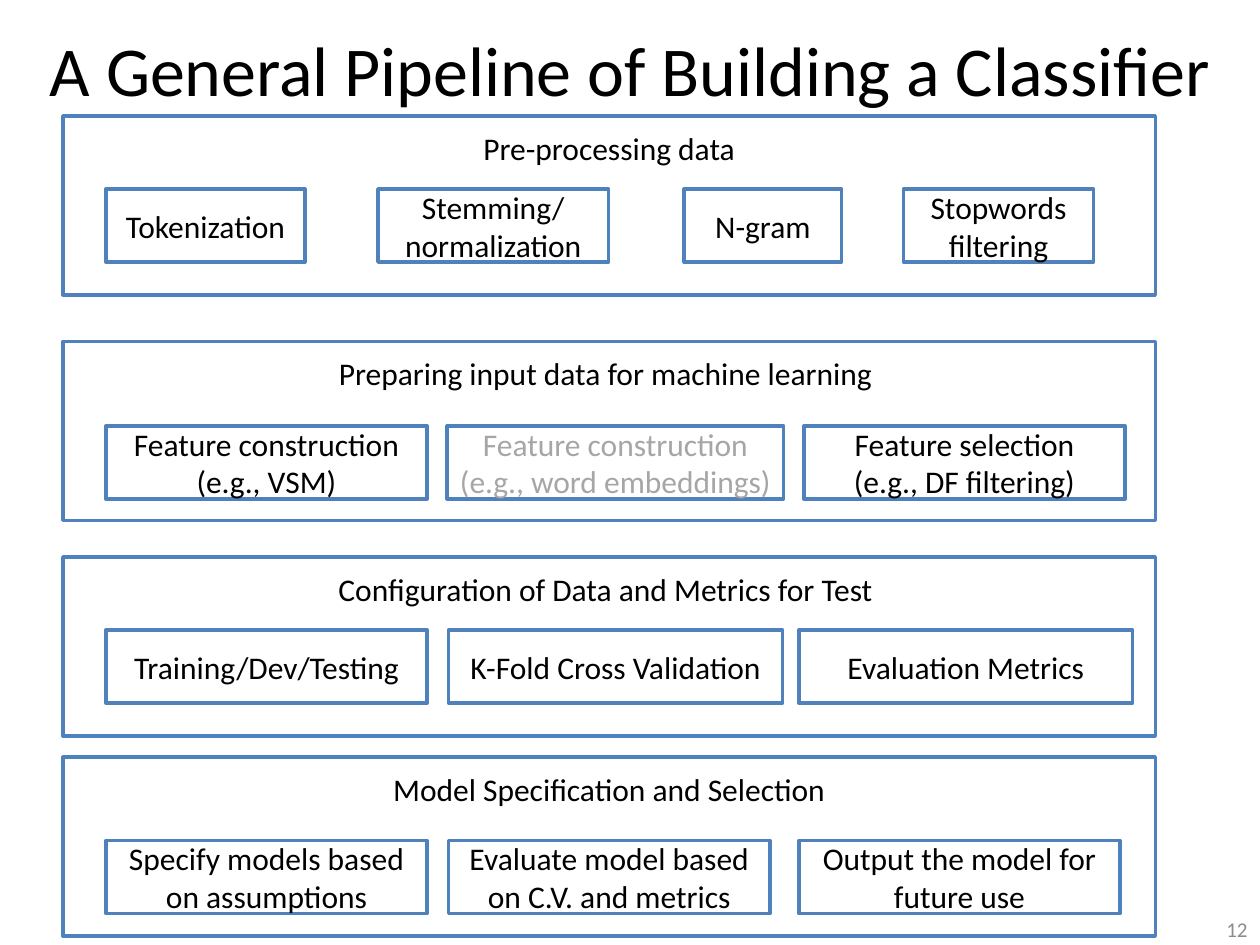
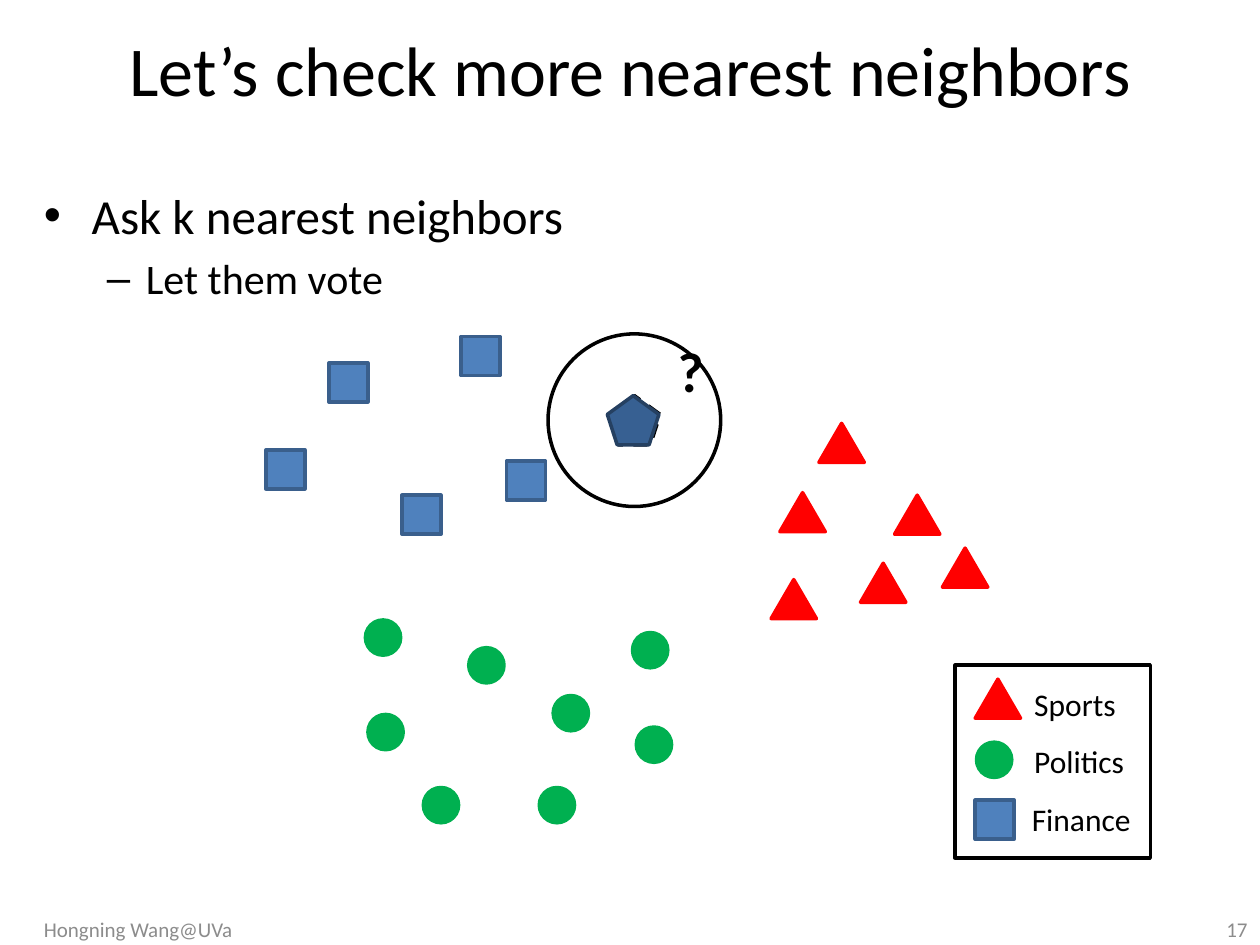
"""Build two slides on text classification: a pipeline and a nearest-neighbour vote."""
from lxml import etree
from pptx import Presentation, util as u
from pptx.dml.color import RGBColor
from pptx.enum import dml, shapes, text
from pptx.oxml.ns import qn

COLORS = {
    "ink": "000000", "paper": "FFFFFF", "muted": "A6A6A6", "footer": "8C8C8C",
    "blue": "4F81BD", "blue_edge": "3A5F8C", "red": "FF0000", "green": "00B050",
    "query": "376092", "query_edge": "254061",
}
FONT = "Calibri"
COLUMNS, ROWS = 100, 75
SHAPE, ALIGN, ANCHOR = shapes.MSO_SHAPE, text.PP_ALIGN, text.MSO_ANCHOR

MARKERS = {
    "Finance": (SHAPE.RECTANGLE, 3.1, 3.1, "blue", "blue_edge"),
    "Sports": (SHAPE.ISOSCELES_TRIANGLE, 3.6, 3.1, "red", "red"),
    "Politics": (SHAPE.OVAL, 2.8, 2.8, "green", "green"),
}
POINTS = {
    "Finance": [(26.1, 28.8), (21.1, 35.7), (31.9, 39.3), (36.6, 26.7), (40.2, 36.6)],
    "Sports": [(65, 33.6), (61.9, 39.1), (61.2, 46), (74.8, 43.5), (71, 39.3), (68.3, 44.7)],
    "Politics": [(29, 49.2), (37.2, 51.4), (43.9, 55.2), (42.8, 62.5), (33.6, 62.5),
                 (29.2, 56.7), (50.2, 50.2), (50.5, 57.7)],
}
LEGEND = [
    ("Sports", (77.4, 53.9), (81.1, 53.9)),
    ("Politics", (77.5, 58.9), (81.1, 58.4)),
    ("Finance", (77.4, 63.5), (80.9, 63)),
]
PANELS = [
    ("Pre-processing data", 9.2, 15, [
        (8.4, 15.8, ["Tokenization"], "ink"),
        (30, 18.3, ["Stemming/", "normalization"], "ink"),
        (54.3, 12.5, ["N-gram"], "ink"),
        (71.7, 15.1, ["Stopwords filtering"], "ink")]),
    ("Preparing input data for machine learning ", 27.1, 33.8, [
        (8.4, 25.5, ["Feature construction (e.g., VSM)"], "ink"),
        (35.5, 26.7, ["Feature construction (e.g., word embeddings)"], "muted"),
        (63.8, 25.5, ["Feature selection", "(e.g., DF filtering)"], "ink")]),
    ("Configuration of Data and Metrics for Test ", 44.2, 50, [
        (8.4, 25.5, ["Training/Dev/Testing"], "ink"),
        (35.6, 26.5, ["K-Fold Cross Validation"], "ink"),
        (63.4, 26.5, ["Evaluation Metrics"], "ink")]),
    ("Model Specification and Selection", 60.1, 66.7, [
        (8.4, 25.5, ["Specify models based on assumptions"], "ink"),
        (35.6, 25.5, ["Evaluate model based on C.V. and metrics"], "ink"),
        (63.4, 25.5, ["Output the model for future use"], "ink")]),
]


def write_text(frame, lines, size=18, color="ink", bold=False,
               align=ALIGN.LEFT, anchor=ANCHOR.TOP):
    """Fill a text frame with one paragraph per line."""
    frame.word_wrap = True
    frame.vertical_anchor = anchor
    for index, line in enumerate(lines):
        paragraph = frame.add_paragraph() if index else frame.paragraphs[0]
        paragraph.alignment = align
        run = paragraph.add_run()
        run.text = line
        run.font.name, run.font.size, run.font.bold = FONT, u.Pt(size), bold
        run.font.color.rgb = RGBColor.from_string(COLORS[color])


class Deck:
    """Hold the shared style and the slide being drawn."""

    def __init__(self):
        """Start an empty 4:3 presentation."""
        self.presentation = Presentation()
        self.presentation.slide_width = u.Inches(10)
        self.presentation.slide_height = u.Inches(7.5)
        self.container = None

    def place(self, left, top, width, height):
        """Turn grid columns and rows into lengths."""
        column = self.presentation.slide_width / COLUMNS
        row = self.presentation.slide_height / ROWS
        return [u.Emu(round(length)) for length in
                (left * column, top * row, width * column, height * row)]

    def add_slide(self, title, number, footer=None):
        """Open a slide with its title, page number and optional footer."""
        slide = self.presentation.slides.add_slide(self.presentation.slide_layouts[6])
        self.container = slide.shapes
        self.add_text(0, 0, 100, 10.8, [title], size=40, align=ALIGN.CENTER, anchor=ANCHOR.MIDDLE)
        small = dict(size=12, color="footer", anchor=ANCHOR.MIDDLE)
        self.add_text(76.7, 72.5, 23.3, 2.5, [str(number)], align=ALIGN.RIGHT, **small)
        if footer:
            self.add_text(2.5, 72.5, 23.3, 2.5, [footer], **small)

    def add_text(self, left, top, width, height, lines, **style):
        """Add a text box and return its frame."""
        frame = self.container.add_textbox(*self.place(left, top, width, height)).text_frame
        write_text(frame, lines, **style)
        return frame

    def add_bullets(self, left, top, width, height, items):
        """Add a list of (text, size, bullet, margin, hanging, space before) items."""
        frame = self.add_text(left, top, width, height, [item[0] for item in items])
        for paragraph, (_, size, bullet, margin, hanging, before) in zip(frame.paragraphs, items):
            paragraph.runs[0].font.size = u.Pt(size)
            paragraph.space_before = u.Pt(before)
            properties = paragraph._p.get_or_add_pPr()
            properties.set("marL", str(u.Inches(margin)))
            properties.set("indent", str(-u.Inches(hanging)))
            etree.SubElement(properties, qn("a:buFont")).set("typeface", "Arial")
            etree.SubElement(properties, qn("a:buChar")).set("char", bullet)

    def add_shape(self, kind, left, top, width, height, fill=None, line="ink", dash=None):
        """Add a flat outlined shape, unfilled unless a colour is given."""
        shape = self.container.add_shape(kind, *self.place(left, top, width, height))
        shape.shadow.inherit = False
        if fill:
            shape.fill.solid()
            shape.fill.fore_color.rgb = RGBColor.from_string(COLORS[fill])
        else:
            shape.fill.background()
        shape.line.color.rgb = RGBColor.from_string(COLORS[line])
        shape.line.width = u.Pt(2)
        if dash:
            shape.line.dash_style = dash
        return shape

    def add_box(self, left, top, width, height, lines, color="ink", anchor=ANCHOR.MIDDLE):
        """Add a white box with a blue outline and centred text."""
        box = self.add_shape(SHAPE.RECTANGLE, left, top, width, height, "paper", "blue")
        write_text(box.text_frame, lines, color=color, align=ALIGN.CENTER, anchor=anchor)
        box.text_frame.margin_top = u.Inches(0.1 if anchor == ANCHOR.TOP else 0.05)

    def add_marker(self, category, left, top):
        """Add the marker of one document category."""
        kind, width, height, fill, line = MARKERS[category]
        self.add_shape(kind, left, top, width, height, fill, line)

    def add_legend(self):
        """Add the framed category legend as one group."""
        slide_shapes = self.container
        self.container = slide_shapes.add_group_shape().shapes
        for category, marker_at, label_at in LEGEND:
            self.add_marker(category, *marker_at)
            self.add_text(*label_at, 13.9, 4, [category])
        self.add_shape(SHAPE.RECTANGLE, 75.8, 52.8, 15.5, 15.3)
        self.container = slide_shapes


def build_pipeline(deck):
    """Draw the four pipeline stages and their steps."""
    deck.add_slide("A General Pipeline of Building a Classifier", 12)
    for heading, panel_top, step_top, steps in PANELS:
        deck.add_box(5, panel_top, 86.7, 14.2, [heading], anchor=ANCHOR.TOP)
        for left, width, lines, color in steps:
            deck.add_box(left, step_top, width, 5.8, lines, color)


def build_neighbors(deck):
    """Draw the labelled points, the query and its neighbourhood."""
    deck.add_slide("Let’s check more nearest neighbors", 17, "Hongning Wang@UVa")
    deck.add_bullets(2.5, 14.2, 95, 57.5, [
        ("Ask k nearest neighbors", 28, "•", 0.38, 0.38, 0),
        ("Let them vote", 24, "–", 0.81, 0.31, 4.8)])
    for category, positions in POINTS.items():
        for left, top in positions:
            deck.add_marker(category, left, top)
    deck.add_text(52.8, 26.2, 9, 6.4, ["?"], size=32, bold=True)
    deck.add_shape(SHAPE.REGULAR_PENTAGON, 48.3, 31.4, 4.1, 3.9, dash=dml.MSO_LINE.DASH)
    deck.add_legend()
    deck.add_shape(SHAPE.OVAL, 43.5, 26.5, 13.7, 13.7)
    deck.add_shape(SHAPE.REGULAR_PENTAGON, 48.2, 31.4, 4.1, 3.9, "query", "query_edge")


def main():
    """Build both slides and save them."""
    deck = Deck()
    build_pipeline(deck)
    build_neighbors(deck)
    deck.presentation.save("out.pptx")


if __name__ == "__main__":
    main()
